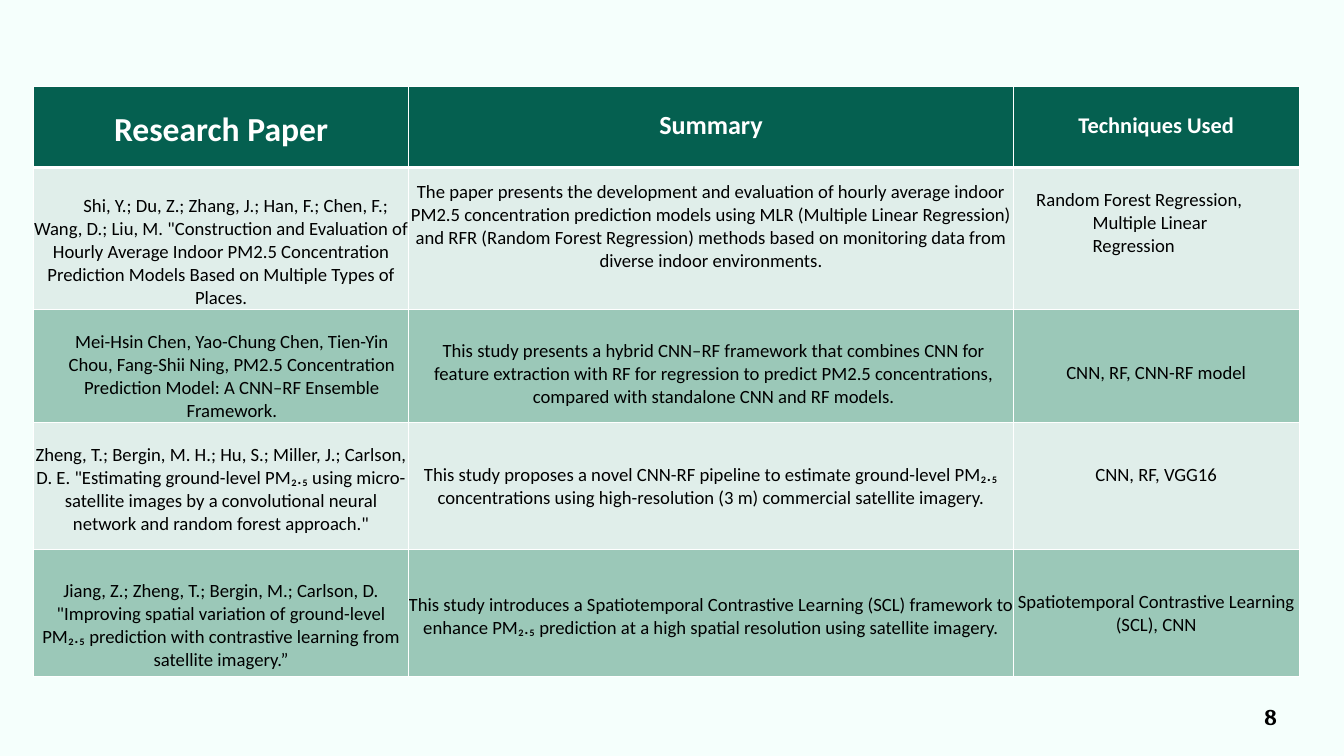
from lxml import etree
from pptx import Presentation
from pptx.dml.color import RGBColor
from pptx.enum import text
from pptx.oxml.ns import qn
from pptx.util import Inches, Pt

COLORS = {
    "background": "F5FFFC",
    "header": "056050",
    "light": "E0EEEA",
    "dark": "9BC8B8",
    "white": "FFFFFF",
    "black": "000000",
}
COL_WIDTHS = [5.58, 9, 4.25]
ROW_HEIGHTS = [1.2, 2.11, 1.68, 1.89, 1.89]

# Each cell: text, space above the text in inches
ROWS = [
    [("Research Paper", 0.34), ("Summary", 0.34), ("Techniques Used", 0.38)],
    [
        ('Shi, Y.; Du, Z.; Zhang, J.; Han, F.; Chen, F.; Wang, D.; Liu, M. '
         '"Construction and Evaluation of Hourly Average Indoor PM2.5 Concentration '
         'Prediction Models Based on Multiple Types of Places.', 0.41),
        ("The paper presents the development and evaluation of hourly average indoor "
         "PM2.5 concentration prediction models using MLR (Multiple Linear Regression) "
         "and RFR (Random Forest Regression) methods based on monitoring data from "
         "diverse indoor environments.", 0.2),
        ("Random Forest Regression, Multiple Linear Regression", 0.32),
    ],
    [
        ("Mei-Hsin Chen, Yao-Chung Chen, Tien-Yin Chou, Fang-Shii Ning, PM2.5 "
         "Concentration Prediction Model: A CNN–RF Ensemble Framework.", 0.32),
        ("This study presents a hybrid CNN–RF framework that combines CNN for feature "
         "extraction with RF for regression to predict PM2.5 concentrations, compared "
         "with standalone CNN and RF models.", 0.46),
        ("CNN, RF, CNN-RF model", 0.78),
    ],
    [
        ('Zheng, T.; Bergin, M. H.; Hu, S.; Miller, J.; Carlson, D. E. "Estimating '
         'ground-level PM₂.₅ using micro-satellite images by a convolutional neural '
         'network and random forest approach."', 0.32),
        ("This study proposes a novel CNN-RF pipeline to estimate ground-level PM₂.₅ "
         "concentrations using high-resolution (3 m) commercial satellite imagery.", 0.62),
        ("CNN, RF, VGG16", 0.62),
    ],
    [
        ('Jiang, Z.; Zheng, T.; Bergin, M.; Carlson, D. "Improving spatial variation of '
         'ground-level PM₂.₅ prediction with contrastive learning from satellite '
         'imagery.”', 0.46),
        ("This study introduces a Spatiotemporal Contrastive Learning (SCL) framework to "
         "enhance PM₂.₅ prediction at a high spatial resolution using satellite "
         "imagery.", 0.66),
        ("Spatiotemporal Contrastive Learning (SCL), CNN", 0.62),
    ],
]
HEADER_SIZES = [36, 28, 24]
# (row, column): left margin and first-line indent in inches
INDENTS = {(1, 0): (0, 0.44), (1, 2): (1.18, -0.84), (2, 0): (0.32, 0), (2, 1): (0.08, 0)}


def set_borders(cell, widths):
    """Draw white cell borders; widths maps a side (L, R, T, B) to points."""
    tc_pr = cell._tc.get_or_add_tcPr()
    for side, width in widths.items():
        ln = etree.SubElement(tc_pr, qn(f"a:ln{side}"), w=str(Pt(width)))
        fill = etree.SubElement(ln, qn("a:solidFill"))
        etree.SubElement(fill, qn("a:srgbClr"), val=COLORS["white"])


def set_font(p, name, size, color, bold):
    for r in p.runs:
        r.font.name = name
        r.font.size = Pt(size)
        r.font.bold = bold
        r.font.color.rgb = RGBColor.from_string(COLORS[color])


prs = Presentation()
prs.slide_width = Inches(20)
prs.slide_height = Inches(11.25)
s = prs.slides.add_slide(prs.slide_layouts[6])
s.background.fill.solid()
s.background.fill.fore_color.rgb = RGBColor.from_string(COLORS["background"])

# Literature table
table = s.shapes.add_table(
    len(ROWS), len(COL_WIDTHS), Inches(0.5), Inches(1.29),
    Inches(sum(COL_WIDTHS)), Inches(sum(ROW_HEIGHTS))).table
for column, width in zip(table.columns, COL_WIDTHS):
    column.width = Inches(width)
for row, height in zip(table.rows, ROW_HEIGHTS):
    row.height = Inches(height)

for i, row in enumerate(ROWS):
    is_header = i == 0
    band = "header" if is_header else "light" if i % 2 else "dark"
    for j, (words, top) in enumerate(row):
        cell = table.cell(i, j)
        set_borders(cell, {"L": 1, "R": 1, "T": 3 if i == 1 else 1, "B": 3 if is_header else 1})
        cell.fill.solid()
        cell.fill.fore_color.rgb = RGBColor.from_string(COLORS[band])
        cell.margin_left = cell.margin_right = cell.margin_bottom = 0
        cell.margin_top = Inches(top)
        cell.vertical_anchor = text.MSO_ANCHOR.TOP
        p = cell.text_frame.paragraphs[0]
        p.text = words
        p.alignment = text.PP_ALIGN.CENTER
        if (i, j) in INDENTS:
            left, first = INDENTS[i, j]
            p_pr = p._p.get_or_add_pPr()
            p_pr.set("marL", str(Inches(left)))
            p_pr.set("indent", str(Inches(first)))
        set_font(p, "Calibri", HEADER_SIZES[j] if is_header else 20,
                 "white" if is_header else "black", is_header)

# The hanging list of techniques is left-aligned
techniques = table.cell(1, 2)
techniques.margin_right = Inches(0.3)
techniques.text_frame.paragraphs[0].alignment = text.PP_ALIGN.LEFT

# Page number
tf = s.shapes.add_textbox(Inches(14.4), Inches(10.46), Inches(4.6), Inches(0.4)).text_frame
tf.word_wrap = True
tf.margin_left = tf.margin_right = tf.margin_top = tf.margin_bottom = 0
p = tf.paragraphs[0]
p.text = "8"
p.alignment = text.PP_ALIGN.RIGHT
set_font(p, "Cambria", 24, "black", True)

prs.save("out.pptx")
